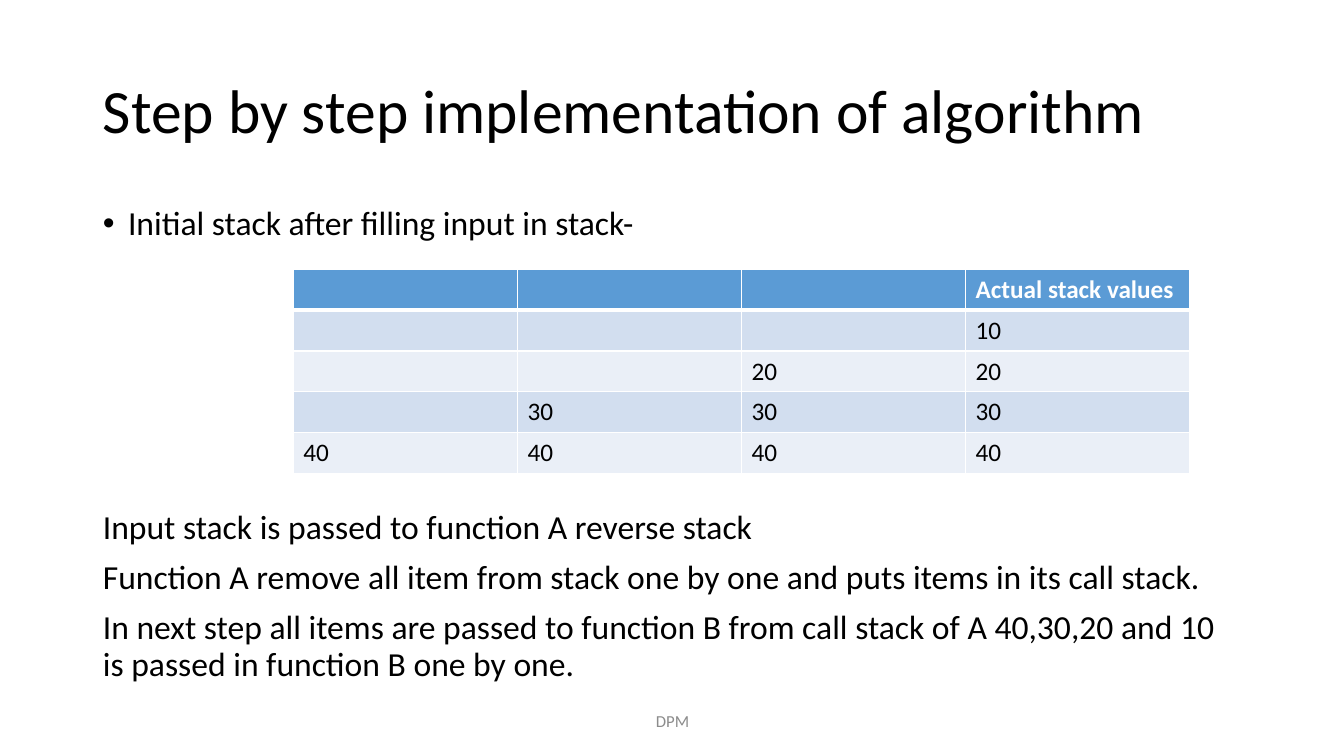
from lxml import etree
from pptx import Presentation
from pptx.dml.color import RGBColor
from pptx.enum.text import MSO_ANCHOR, MSO_AUTO_SIZE, PP_ALIGN
from pptx.oxml.ns import qn
from pptx.util import Inches, Pt

COLORS = {
    "text": "000000",
    "white": "FFFFFF",
    "header": "5B9BD5",
    "odd_row": "D2DEEF",
    "even_row": "EAEFF7",
    "footer": "8C8C8C",
}


def add_run(paragraph, text, size, color="text", bold=False):
    run = paragraph.add_run()
    run.text = text
    run.font.name = "Calibri"
    run.font.size = Pt(size)
    run.font.bold = bold
    run.font.color.rgb = RGBColor.from_string(COLORS[color])


def set_borders(cell, bottom_width, top_width):
    properties = cell._tc.get_or_add_tcPr()
    widths = {"a:lnL": 1, "a:lnR": 1, "a:lnT": top_width, "a:lnB": bottom_width}
    for position, (side, width) in enumerate(widths.items()):
        line = etree.Element(qn(side), w=str(Pt(width)))
        fill = etree.SubElement(line, qn("a:solidFill"))
        etree.SubElement(fill, qn("a:srgbClr"), val=COLORS["white"])
        properties.insert(position, line)


presentation = Presentation()
presentation.slide_width = Inches(13.33)
presentation.slide_height = Inches(7.5)
slide = presentation.slides.add_slide(presentation.slide_layouts[1])

# Title
title = slide.shapes.title
title.left, title.top = Inches(0.92), Inches(0.4)
title.width, title.height = Inches(11.5), Inches(1.45)
title.text_frame.auto_size = MSO_AUTO_SIZE.NONE
title.text_frame.vertical_anchor = MSO_ANCHOR.MIDDLE
paragraph = title.text_frame.paragraphs[0]
paragraph.alignment = PP_ALIGN.LEFT
paragraph.line_spacing = 0.9
add_run(paragraph, "Step by step implementation of algorithm", 44)

# Body: the second paragraph starts below the table
body = slide.placeholders[1]
body.left, body.top = Inches(0.92), Inches(2)
body.width, body.height = Inches(11.5), Inches(4.76)
body.text_frame.auto_size = MSO_AUTO_SIZE.NONE
body_lines = [
    ("Initial stack after filling input in stack-", 10, True),
    ("Input stack is passed to function A reverse stack", 191, False),
    ("Function A remove all item from stack one by one and puts items in its call stack.", 10, False),
    ("In next step all items are passed to function B from call stack of A 40,30,20 and 10 "
     "is passed in function B one by one.", 10, False),
]
for index, (text, space_before, bulleted) in enumerate(body_lines):
    paragraph = body.text_frame.paragraphs[0] if index == 0 else body.text_frame.add_paragraph()
    paragraph.line_spacing = 0.9
    paragraph.space_before = Pt(space_before)
    properties = paragraph._p.get_or_add_pPr()
    indent = Inches(0.25) if bulleted else 0
    properties.set("marL", str(indent))
    properties.set("indent", str(-indent))
    if bulleted:
        etree.SubElement(properties, qn("a:buFont"), typeface="Arial")
        etree.SubElement(properties, qn("a:buChar"), char="•")
    else:
        etree.SubElement(properties, qn("a:buNone"))
    add_run(paragraph, text, 24)

# Stack table
stack_rows = [
    ["", "", "", "Actual stack values"],
    ["", "", "", "10"],
    ["", "", "20", "20"],
    ["", "30", "30", "30"],
    ["40", "40", "40", "40"],
]
table = slide.shapes.add_table(
    5, 4, Inches(2.91), Inches(2.67), Inches(8.89), Inches(2.03)
).table
for row_index, values in enumerate(stack_rows):
    is_header = row_index == 0
    fill_color = "header" if is_header else "odd_row" if row_index % 2 else "even_row"
    for column_index, value in enumerate(values):
        cell = table.cell(row_index, column_index)
        cell.fill.solid()
        cell.fill.fore_color.rgb = RGBColor.from_string(COLORS[fill_color])
        set_borders(cell, 3 if is_header else 1, 3 if row_index == 1 else 1)
        if value:
            add_run(cell.text_frame.paragraphs[0], value, 18,
                    "white" if is_header else "text", is_header)

# Footer
footer = slide.shapes.add_textbox(Inches(4.42), Inches(6.95), Inches(4.5), Inches(0.4))
footer.text_frame.word_wrap = True
footer.text_frame.vertical_anchor = MSO_ANCHOR.MIDDLE
paragraph = footer.text_frame.paragraphs[0]
paragraph.alignment = PP_ALIGN.CENTER
add_run(paragraph, "DPM", 12, "footer")

presentation.save("out.pptx")
